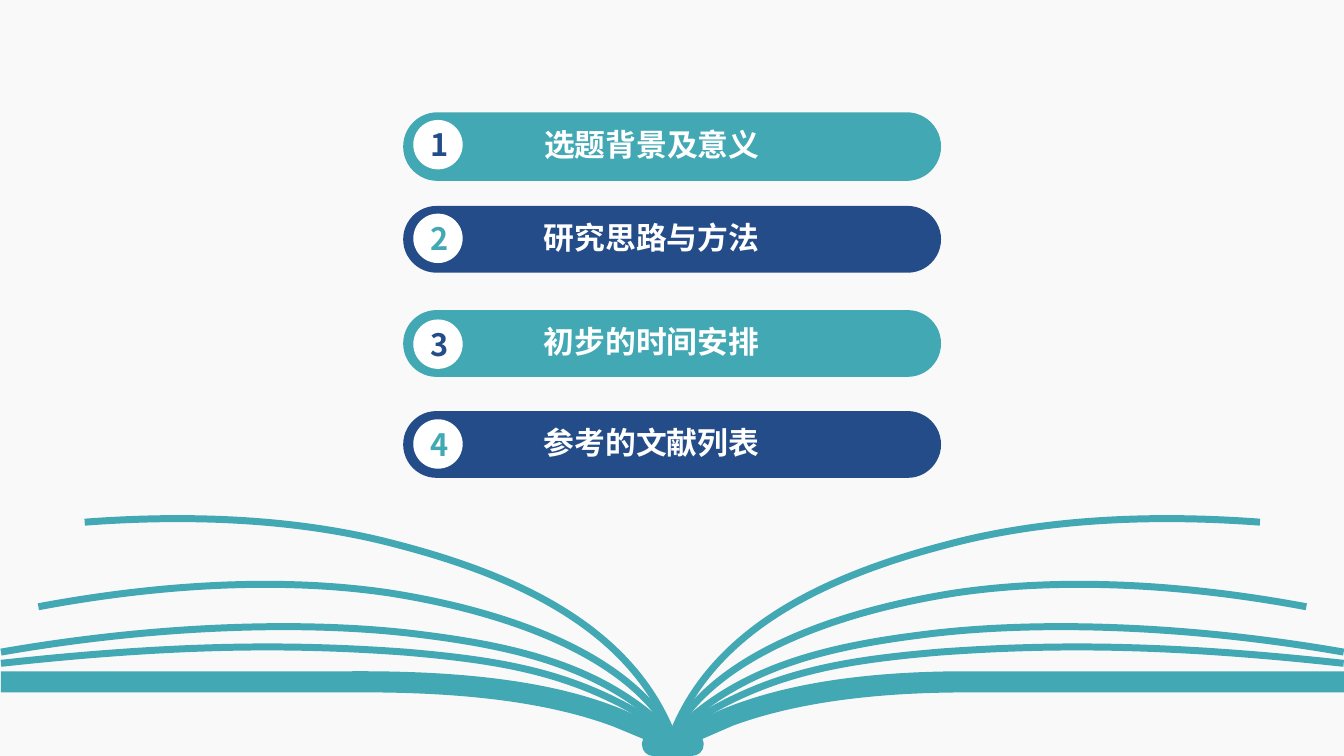
"""Build the contents slide: four numbered pills above an open book."""
from typing import NamedTuple

from lxml.etree import SubElement
from pptx import Presentation
from pptx.dml.color import RGBColor
from pptx.enum.shapes import MSO_SHAPE
from pptx.enum.text import MSO_ANCHOR, PP_ALIGN
from pptx.oxml.ns import qn
from pptx.util import Pt

COLORS = {"paper": "F9F9F9", "teal": "42A9B4", "navy": "234C89", "white": "FFFFFF"}
FONT = "Noto Sans CJK SC"
PAGE_WIDTH, PAGE_HEIGHT = 960, 540
MIRROR_WIDTH = 960.48
PILL_LEFT, PILL_WIDTH = 288, 384.2
BADGE_LEFT, BADGE_SIZE = 295.2, 35.3

Point = tuple[float, float]
Segment = tuple[Point, ...]


class Topic(NamedTuple):
    title: str
    top: float
    height: float
    badge_top: float
    fill: str
    number_color: str


TOPICS = [
    Topic("选题背景及意义", 80.2, 49, 85.7, "teal", "navy"),
    Topic("研究思路与方法", 147.1, 47.7, 152.6, "navy", "teal"),
    Topic("初步的时间安排", 221.5, 47.7, 228.2, "teal", "navy"),
    Topic("参考的文献列表", 293.6, 47.7, 299.5, "navy", "teal"),
]

SPINE_POINT: Point = (480.24, 524.9)
LEFT_PAGES: list[list[Segment]] = [
    [((435.6, 479.5), (378, 463), (303.1, 453.6)),
     ((232.6, 444.2), (124.6, 444.2), (0.7, 465.8))],
    [((418.3, 481.7), (365, 472.3), (289.4, 465.8)),
     ((202.3, 459.4), (120.2, 460.8), (0.7, 473.8))],
    [((447.8, 465.1), (355.7, 435.6), (277.2, 423.4)),
     ((208.1, 413.3), (123.8, 415.4), (27.4, 433.4))],
    [((449.3, 445.7), (363.6, 409.7), (283, 388.8)),
     ((215.3, 370.8), (138.2, 367.2), (60.5, 373))],
]

COVER_START: Point = (0.7, 479.5)
COVER: list[Segment] = [
    ((249.1, 479.5),),
    ((344.9, 478.8), (412.6, 489.6), (460.8, 514.1)),
    ((475.9, 522.7),), ((485.3, 522.7),), ((501.1, 513.4),),
    ((551.5, 488.2), (618.5, 479.5), (690.5, 479.5)),
    ((960.5, 479.5),), ((960.5, 494.6),), ((690.5, 494.6),),
    ((628.6, 494.6), (570.2, 501.1), (523.4, 518.4)),
    ((501.8, 527.8),), ((502.6, 530.6),), ((502.6, 532.1),),
    ((502.6, 536.4), (499, 540), (493.9, 540)),
    ((466.6, 540),),
    ((462.2, 540), (458.6, 536.4), (458.6, 532.1)),
    ((458.6, 530.6),), ((459.4, 527.8),), ((438.5, 519.1),),
    ((392.4, 501.8), (331.2, 493.9), (249.1, 494.6)),
    ((0.7, 494.6),),
]


def color(name: str) -> RGBColor:
    return RGBColor.from_string(COLORS[name])


def mirror(segments: list[Segment]) -> list[Segment]:
    return [tuple((MIRROR_WIDTH - x, y) for x, y in segment) for segment in segments]


def add_outline(page, start: Point, segments: list[Segment], close: bool):
    builder = page.shapes.build_freeform(Pt(start[0]), Pt(start[1]), scale=1.0)
    builder.add_line_segments(
        [(Pt(x), Pt(y)) for segment in segments for x, y in segment], close=close)
    outline = builder.convert_to_shape()
    outline.shadow.inherit = False
    steps = iter(list(outline.element.iter(qn("a:lnTo"))))
    for segment in segments:
        group = [next(steps) for _ in segment]
        if len(group) == 3:
            track = group[0].getparent()
            curve = SubElement(track, qn("a:cubicBezTo"))
            track.replace(group[0], curve)
            for step in group:
                curve.append(step[0])
            for step in group[1:]:
                track.remove(step)
    return outline


def add_book(page) -> None:
    for segments in LEFT_PAGES:
        for side in (segments, mirror(segments)):
            leaf = add_outline(page, SPINE_POINT, side, close=False)
            leaf.fill.background()
            leaf.line.color.rgb = color("teal")
            leaf.line.width = Pt(5)
    cover = add_outline(page, COVER_START, COVER, close=True)
    cover.fill.solid()
    cover.fill.fore_color.rgb = color("teal")
    cover.line.fill.background()


def add_box(page, kind: MSO_SHAPE, left: float, top: float, width: float,
            height: float, fill: str):
    box = page.shapes.add_shape(kind, Pt(left), Pt(top), Pt(width), Pt(height))
    box.shadow.inherit = False
    box.fill.solid()
    box.fill.fore_color.rgb = color(fill)
    box.line.fill.background()
    return box


def write(box, text: str, text_color: str, alignment: PP_ALIGN):
    frame = box.text_frame
    frame.word_wrap = True
    frame.vertical_anchor = MSO_ANCHOR.MIDDLE
    para = frame.paragraphs[0]
    para.alignment = alignment
    span = para.add_run()
    span.text = text
    span.font.name = FONT
    span.font.size = Pt(22)
    span.font.bold = True
    span.font.color.rgb = color(text_color)
    return para


def add_topic(page, number: int, topic: Topic) -> None:
    pill = add_box(page, MSO_SHAPE.ROUNDED_RECTANGLE, PILL_LEFT, topic.top,
                   PILL_WIDTH, topic.height, topic.fill)
    pill.adjustments[0] = 0.5
    pill.text_frame.margin_left = Pt(93.6)
    write(pill, topic.title, "white", PP_ALIGN.LEFT).line_spacing = 0.9
    badge = add_box(page, MSO_SHAPE.OVAL, BADGE_LEFT, topic.badge_top, BADGE_SIZE,
                    BADGE_SIZE, "white")
    write(badge, str(number), topic.number_color, PP_ALIGN.CENTER)


def main() -> None:
    deck = Presentation()
    deck.slide_width, deck.slide_height = Pt(PAGE_WIDTH), Pt(PAGE_HEIGHT)
    page = deck.slides.add_slide(deck.slide_layouts[6])
    add_box(page, MSO_SHAPE.RECTANGLE, 0, 0, PAGE_WIDTH, PAGE_HEIGHT, "paper")
    add_book(page)
    for number, topic in enumerate(TOPICS, start=1):
        add_topic(page, number, topic)
    deck.save("out.pptx")


if __name__ == "__main__":
    main()
